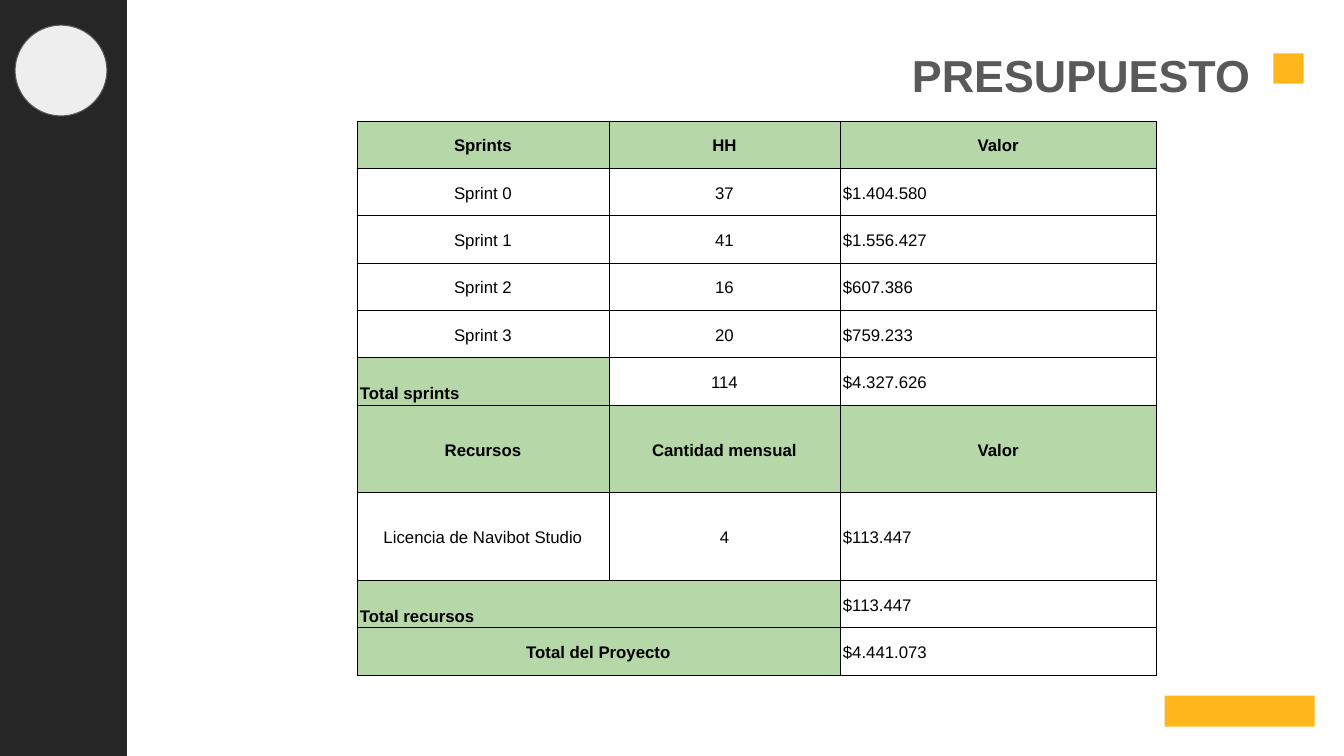
from lxml.etree import SubElement
from pptx import Presentation
from pptx.dml.color import RGBColor
from pptx.enum.shapes import MSO_SHAPE
from pptx.enum.text import MSO_ANCHOR, MSO_AUTO_SIZE, PP_ALIGN
from pptx.oxml.ns import qn
from pptx.util import Pt

PX = 9144
BLACK = RGBColor(0x00, 0x00, 0x00)
CHARCOAL = RGBColor(0x26, 0x26, 0x26)
GREY = RGBColor(0x59, 0x59, 0x59)
PALE = RGBColor(0xEE, 0xEE, 0xEE)
AMBER = RGBColor(0xFF, 0xB7, 0x1B)
GREEN = RGBColor(0xB6, 0xD7, 0xA8)


def apply(target, values):
    for name, value in values.items():
        setattr(target, name, value)


def px(*lengths):
    return [length * PX for length in lengths]


deck = Presentation()
deck.slide_width, deck.slide_height = px(1333, 750)
page = deck.slides.add_slide(deck.slide_layouts[5])

decorations = [
    (MSO_SHAPE.RECTANGLE, (0, 0, 126, 750), CHARCOAL, None),
    (MSO_SHAPE.RECTANGLE, (1263, 53, 30, 30), AMBER, None),
    (MSO_SHAPE.OVAL, (15, 25, 91, 90), PALE, GREY),
    (MSO_SHAPE.RECTANGLE, (1155, 690, 149, 31), AMBER, None),
]
for kind, place, fill, outline in decorations:
    shape = page.shapes.add_shape(kind, *px(*place))
    shape.shadow.inherit = False
    shape.fill.solid()
    shape.fill.fore_color.rgb = fill
    if outline is None:
        shape.line.fill.background()
    else:
        shape.line.color.rgb = outline
        shape.line.width = Pt(0.75)

title = page.shapes.title
left, top, width, height = px(594, 44, 656, 51)
apply(title, {"left": left, "top": top, "width": width, "height": height})
title.text = "PRESUPUESTO"
side, upper, lower = px(10, 9, 0)
apply(title.text_frame, {
    "margin_left": side, "margin_right": side,
    "margin_top": upper, "margin_bottom": lower,
    "vertical_anchor": MSO_ANCHOR.TOP,
    "auto_size": MSO_AUTO_SIZE.NONE, "word_wrap": True,
})
para = title.text_frame.paragraphs[0]
apply(para, {"alignment": PP_ALIGN.RIGHT, "line_spacing": 0.9})
apply(para.font, {"size": Pt(32), "name": "Arial", "bold": True})
para.font.color.rgb = GREY

budget_rows = [
    ("header", 47, ("Sprints", "HH", "Valor")),
    ("item", 47, ("Sprint 0", "37", "$1.404.580")),
    ("item", 47, ("Sprint 1", "41", "$1.556.427")),
    ("item", 47, ("Sprint 2", "16", "$607.386")),
    ("item", 47, ("Sprint 3", "20", "$759.233")),
    ("subtotal", 47, ("Total sprints", "114", "$4.327.626")),
    ("header", 87, ("Recursos", "Cantidad mensual", "Valor")),
    ("item", 87, ("Licencia de Navibot Studio", "4", "$113.447")),
    ("subtotal", 47, ("Total recursos", "", "$113.447")),
    ("total", 47, ("Total del Proyecto", "", "$4.441.073")),
]
column_widths = (250, 229, 314)
table = page.shapes.add_table(
    len(budget_rows), len(column_widths),
    *px(354, 120, sum(column_widths), sum(row[1] for row in budget_rows)),
).table
apply(table, {"first_row": False, "horz_banding": False})
for column, width in zip(table.columns, px(*column_widths)):
    column.width = width

side, end = px(3, 2)
for row_index, (role, height, texts) in enumerate(budget_rows):
    table.rows[row_index].height = height * PX
    for column_index, text in enumerate(texts):
        cell = table.cell(row_index, column_index)
        label = role == "header" or (role != "item" and column_index == 0)
        low = role == "subtotal" and column_index == 0
        centred = role == "header" or (column_index < 2 and not low)
        apply(cell, {
            "margin_left": side, "margin_right": side,
            "margin_top": end, "margin_bottom": end,
            "vertical_anchor": MSO_ANCHOR.BOTTOM if low else MSO_ANCHOR.MIDDLE,
        })
        properties = cell._tc.get_or_add_tcPr()
        for edge in ("a:lnL", "a:lnR", "a:lnT", "a:lnB"):
            border = SubElement(properties, qn(edge), w=str(Pt(0.6)))
            paint = SubElement(border, qn("a:solidFill"))
            SubElement(paint, qn("a:srgbClr"), val=str(BLACK))
        if label or text == "":
            cell.fill.solid()
            cell.fill.fore_color.rgb = GREEN
        else:
            cell.fill.background()
        if text == "":
            table.cell(row_index, 0).merge(cell)
            continue
        cell.text = text
        para = cell.text_frame.paragraphs[0]
        apply(para, {
            "alignment": PP_ALIGN.CENTER if centred else PP_ALIGN.LEFT,
            "line_spacing": 1.15,
        })
        apply(para.font, {"size": Pt(12), "name": "Arial", "bold": label})
        para.font.color.rgb = BLACK

deck.save("out.pptx")
